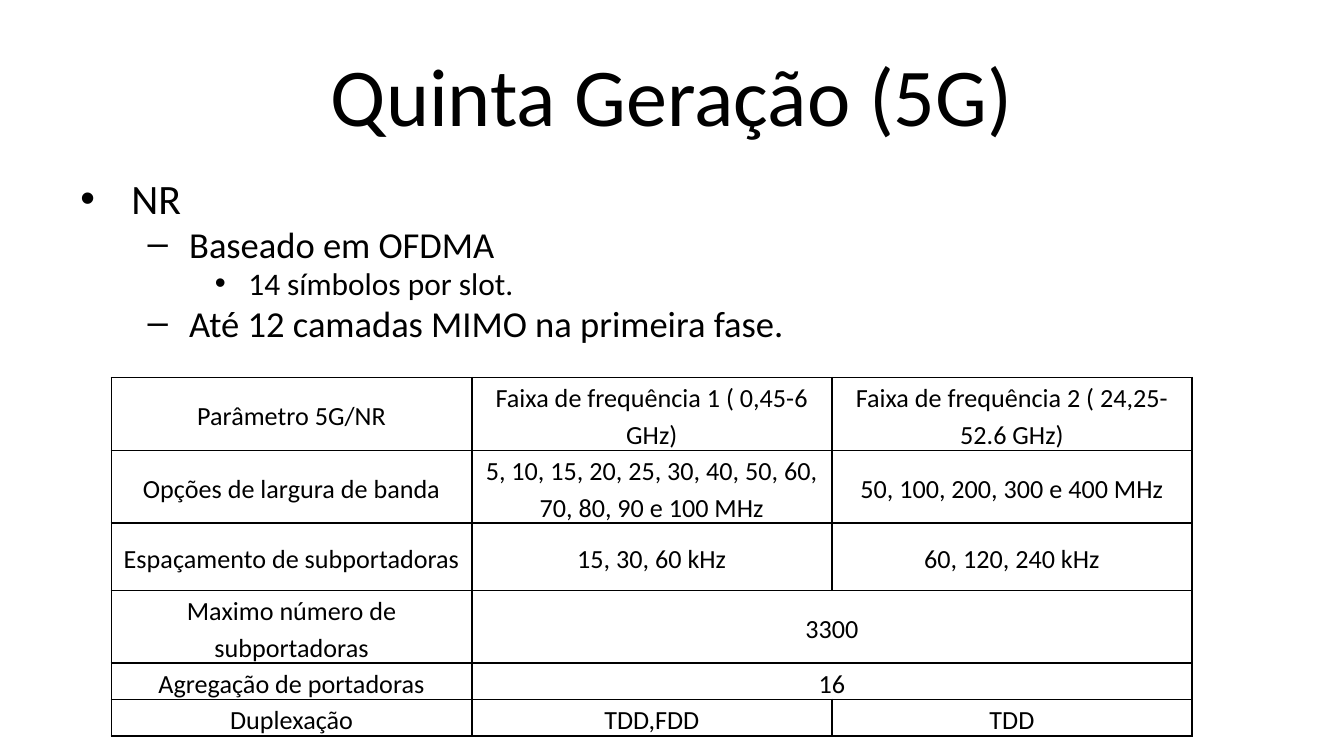
from lxml import etree
from pptx import Presentation
from pptx.dml.color import RGBColor
from pptx.enum.text import MSO_ANCHOR, PP_ALIGN
from pptx.oxml.ns import qn
from pptx.util import Inches, Pt

MIDDLE, TOP = MSO_ANCHOR.MIDDLE, MSO_ANCHOR.TOP
CENTER, LEFT = PP_ALIGN.CENTER, PP_ALIGN.LEFT
BLACK = "000000"


def rgb(value):
    return RGBColor.from_string(value)


def write(p, text, size, **paragraph_format):
    for name, value in paragraph_format.items():
        setattr(p, name, value)
    r = p.add_run()
    r.text = text
    for name, value in {"name": "Calibri", "size": Pt(size)}.items():
        setattr(r.font, name, value)
    r.font.color.rgb = rgb(BLACK)


prs = Presentation()
prs.slide_width = Inches(10)
prs.slide_height = Inches(10 * 9 / 16)
s = prs.slides.add_slide(prs.slide_layouts[6])

frames = []
for top, height, anchor in [(0.23, 0.94, MIDDLE), (1.31, 1.42, TOP)]:
    sp = s.shapes.add_textbox(Inches(0.5), Inches(top), Inches(9), Inches(height))
    tf = sp.text_frame
    tf.word_wrap = True
    tf.vertical_anchor = anchor
    frames.append(tf)
title, body = frames

write(title.paragraphs[0], "Quinta Geração (5G)", 44, alignment=CENTER)

levels = [
    {"size": 22.4, "margin": 0.38, "hang": 0.38, "before": 0, "bullet": "•"},
    {"size": 19.6, "margin": 0.81, "hang": 0.31, "before": 3.9, "bullet": "–"},
    {"size": 16.8, "margin": 1.25, "hang": 0.25, "before": 3.4, "bullet": "•"},
]
topics = [
    (0, "NR"),
    (1, "Baseado em OFDMA"),
    (2, "14 símbolos por slot."),
    (1, "Até 12 camadas MIMO na primeira fase."),
]
for i, (level, text) in enumerate(topics):
    p = body.add_paragraph() if i else body.paragraphs[0]
    fmt = levels[level]
    write(p, text, fmt["size"], level=level, alignment=LEFT,
          line_spacing=0.8, space_before=Pt(fmt["before"]))
    pPr = p._p.get_or_add_pPr()
    pPr.set("marL", str(Inches(fmt["margin"])))
    pPr.set("indent", str(-Inches(fmt["hang"])))
    etree.SubElement(pPr, qn("a:buFont"), typeface="Arial")
    etree.SubElement(pPr, qn("a:buChar"), char=fmt["bullet"])

rows = [
    (0.5, ["Parâmetro 5G/NR", "Faixa de frequência 1 ( 0,45-6 GHz)",
           "Faixa de frequência 2 ( 24,25-52.6 GHz)"]),
    (0.5, ["Opções de largura de banda",
           "5, 10, 15, 20, 25, 30, 40, 50, 60, 70, 80, 90 e 100 MHz",
           "50, 100, 200, 300 e 400 MHz"]),
    (0.5, ["Espaçamento de subportadoras", "15, 30, 60 kHz", "60, 120, 240 kHz"]),
    (0.5, ["Maximo número de subportadoras", "3300"]),
    (0.25, ["Agregação de portadoras", "16"]),
    (0.25, ["Duplexação", "TDD,FDD", "TDD"]),
]
col_width = 2.68
cell_format = {
    "margin_left": Inches(0.07), "margin_right": Inches(0.07),
    "margin_top": 0, "margin_bottom": 0, "vertical_anchor": MIDDLE,
}
table = s.shapes.add_table(
    len(rows), 3, Inches(0.83), Inches(2.81),
    Inches(3 * col_width), Inches(sum(height for height, _ in rows)),
).table
table.first_row = table.horz_banding = False
for col in table.columns:
    col.width = Inches(col_width)

for i, (height, texts) in enumerate(rows):
    table.rows[i].height = Inches(height)
    if len(texts) == 2:
        table.cell(i, 1).merge(table.cell(i, 2))
    for j in range(3):
        cell = table.cell(i, j)
        for name, value in cell_format.items():
            setattr(cell, name, value)
        tcPr = cell._tc.get_or_add_tcPr()
        for side in ("lnL", "lnR", "lnT", "lnB"):
            ln = etree.SubElement(tcPr, qn(f"a:{side}"), w=str(Pt(1)))
            fill = etree.SubElement(ln, qn("a:solidFill"))
            etree.SubElement(fill, qn("a:srgbClr"), val=BLACK)
        cell.fill.background()
        if j < len(texts):
            write(cell.text_frame.paragraphs[0], texts[j], 14,
                  alignment=CENTER, line_spacing=1.16)

prs.save("out.pptx")
